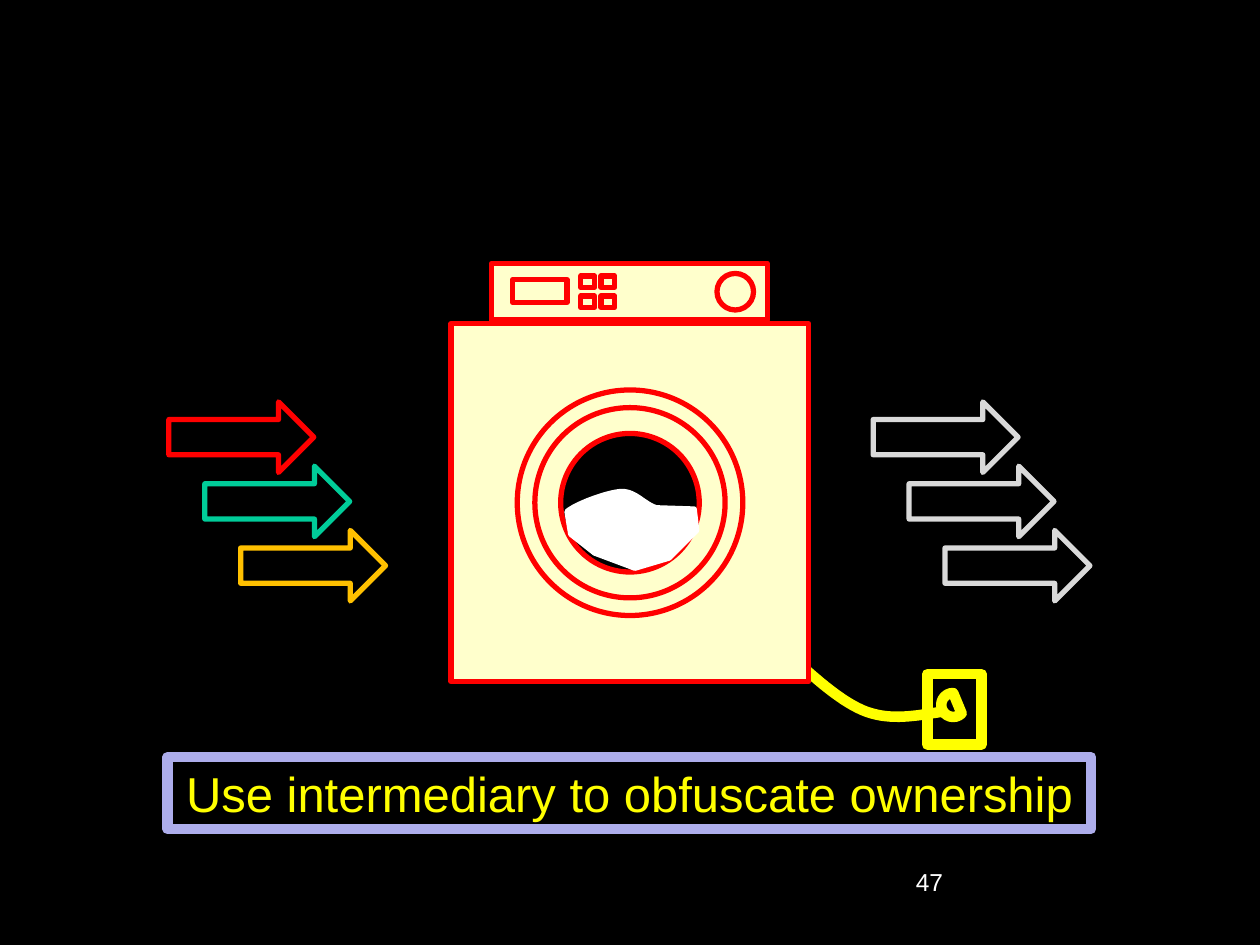
"""Build a slide that shows a washing machine as a picture of hidden ownership."""
from pptx import Presentation
from pptx.dml.color import RGBColor
from pptx.enum.shapes import MSO_SHAPE
from pptx.enum.text import MSO_ANCHOR, PP_ALIGN
from pptx.util import Inches, Pt

RECT, OVAL = MSO_SHAPE.RECTANGLE, MSO_SHAPE.OVAL
CHORD, ARROW = MSO_SHAPE.CHORD, MSO_SHAPE.RIGHT_ARROW
MIDDLE, CENTER = MSO_ANCHOR.MIDDLE, PP_ALIGN.CENTER

THEME = {
    "black": "000000", "white": "FFFFFF", "yellow": "FFFF00", "cream": "FFFFCC",
    "red": "FF0000", "green": "00CC99", "amber": "FFC000", "grey": "D9D9D9",
    "lilac": "ADADEB", "font": "Arial", "text": 28, "small": 14,
    "thin": 3, "thick": 6,
}
CAPTION = "Use intermediary to obfuscate ownership"
NUMBER = "47"
BODY = (3.58, 2.57, 2.84, 2.84)
MID = (5.0, 3.99)
RINGS = [(1.51, "cream"), (1.1, "black"), (1.79, None)]
PANEL = [
    (RECT, (3.9, 2.09, 2.19, 0.45)),
    (RECT, (4.07, 2.22, 0.43, 0.18)),
    (OVAL, (5.69, 2.17, 0.29, 0.29)),
]
KEYS = [(x, y, 0.11, 0.09) for y in (2.35, 2.19) for x in (4.61, 4.77)]
FLOWS = [(1.34, ("red", "green", "amber")), (6.93, ("grey",) * 3)]
STEP = (0.285, 0.51)
CABLE = [
    (6.3, 5.23),
    (6.49, 5.4, 6.69, 5.58, 6.88, 5.65),
    (7.08, 5.72, 7.27, 5.68, 7.47, 5.65),
]
WASH = [
    (4.5, 4.06),
    (4.57, 4, 4.81, 3.91, 4.93, 3.9),
    (5.05, 3.9, 5.11, 4, 5.21, 4.03),
    (5.51, 4.04), (5.53, 4.21), (5.31, 4.43),
    (5.04, 4.51), (4.72, 4.39), (4.53, 4.24),
]


def color(name):
    return RGBColor.from_string(THEME[name])


def style(shape, fill, line, width):
    shape.shadow.inherit = False
    if fill:
        shape.fill.solid()
        shape.fill.fore_color.rgb = color(fill)
    else:
        shape.fill.background()
    shape.line.color.rgb = color(line)
    shape.line.width = Pt(THEME[width])
    return shape


def draw(shapes, kind, box, fill, line, width="thin"):
    shape = shapes.add_shape(kind, *map(Inches, box))
    return style(shape, fill, line, width)


def trace(path, count=16):
    """Turn a path of points and cubic curves into a list of points."""
    pts = [path[0]]
    for part in path[1:]:
        if len(part) == 2:
            pts.append(part)
            continue
        ctrl = [pts[-1], part[:2], part[2:4], part[4:]]
        for i in range(1, count + 1):
            t = i / count
            mix = ((1 - t) ** 3, 3 * t * (1 - t) ** 2, 3 * t * t * (1 - t), t ** 3)
            pts.append(tuple(sum(m * c[k] for m, c in zip(mix, ctrl)) for k in (0, 1)))
    return pts


def outline(shapes, path, close, fill, line, width):
    pts = [(Inches(x), Inches(y)) for x, y in trace(path)]
    pen = shapes.build_freeform(*pts[0])
    pen.add_line_segments(pts[1:], close=close)
    return style(pen.convert_to_shape(), fill, line, width)


def write(shape, text, size, name):
    para = shape.text_frame.paragraphs[0]
    para.text = text
    para.font.name = THEME["font"]
    para.font.size = Pt(THEME[size])
    para.font.color.rgb = color(name)
    return para


def add_plug(slide):
    shapes = slide.shapes.add_group_shape().shapes
    draw(shapes, RECT, (7.36, 5.35, 0.43, 0.56), "black", "yellow", "thick")
    outline(shapes, CABLE, False, None, "yellow", "thick")
    draw(shapes, CHORD, (7.47, 5.5, 0.19, 0.19), "black", "yellow", "thick")


def add_texts(slide):
    box = slide.shapes.add_textbox(*map(Inches, (7.17, 6.83, 2.08, 0.5)))
    box.text_frame.word_wrap = True
    write(box, NUMBER, "small", "white")
    bar = draw(slide.shapes, RECT, (1.33, 6.01, 7.33, 0.57), "black", "lilac", "thick")
    bar.text_frame.word_wrap = False
    bar.text_frame.vertical_anchor = MIDDLE
    write(bar, CAPTION, "text", "yellow").alignment = CENTER


def add_washer(slide):
    shapes = slide.shapes.add_group_shape().shapes
    draw(shapes, RECT, BODY, "cream", "red")
    for size, fill in RINGS:
        box = (MID[0] - size / 2, MID[1] - size / 2, size, size)
        draw(shapes, OVAL, box, fill, "red")
    for kind, box in PANEL + [(RECT, key) for key in KEYS]:
        draw(shapes, kind, box, "cream", "red")
    outline(slide.shapes, WASH, True, "white", "white", "thin")


def add_flows(slide):
    for left, names in FLOWS:
        shapes = slide.shapes.add_group_shape().shapes
        for i, name in enumerate(names):
            box = (left + i * STEP[0], 3.19 + i * STEP[1], 1.15, 0.56)
            draw(shapes, ARROW, box, None, name)


def main():
    deck = Presentation()
    deck.slide_width, deck.slide_height = Inches(10), Inches(7.5)
    slide = deck.slides.add_slide(deck.slide_layouts[6])
    slide.background.fill.solid()
    slide.background.fill.fore_color.rgb = color("black")
    add_plug(slide)
    add_texts(slide)
    add_washer(slide)
    add_flows(slide)
    deck.save("out.pptx")


if __name__ == "__main__":
    main()
